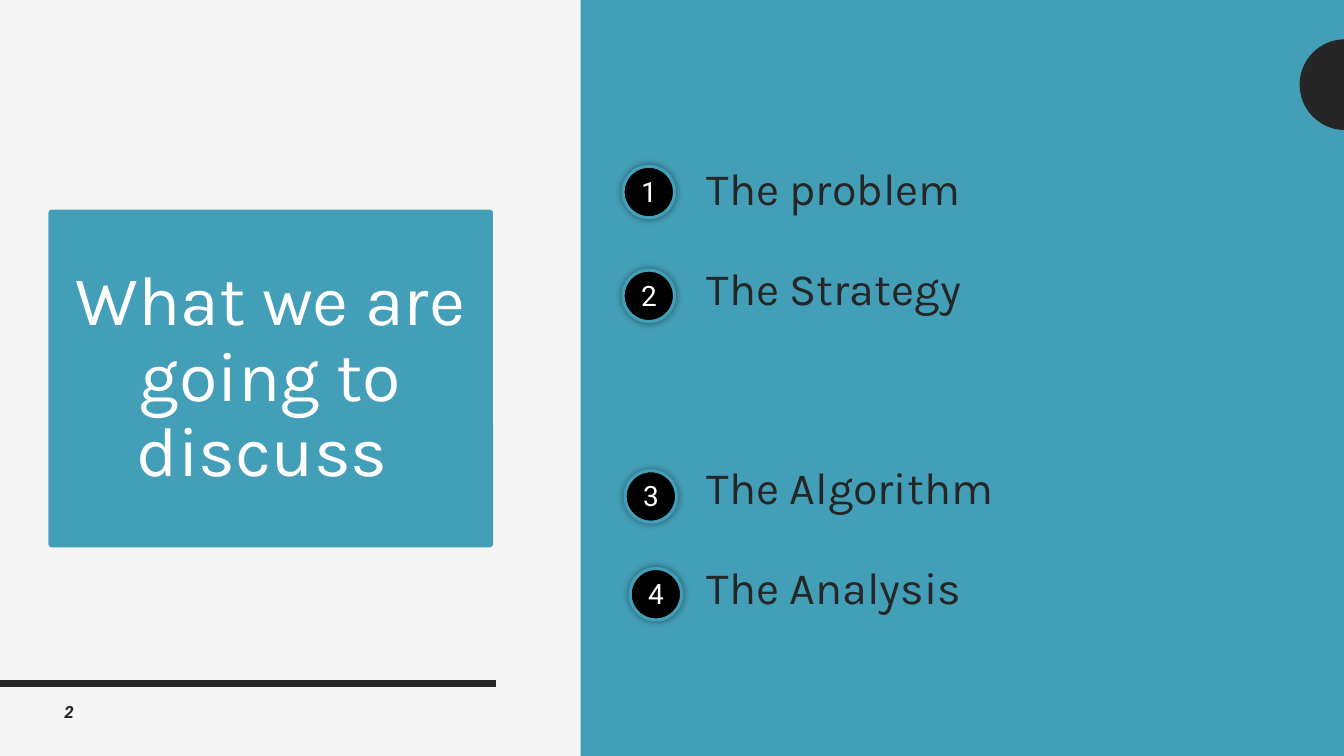
from dataclasses import dataclass
from math import cos, pi, sin

from lxml import etree
from pptx import Presentation
from pptx import util as u
from pptx.dml.color import RGBColor
from pptx.enum import shapes, text
from pptx.oxml import parse_xml
from pptx.oxml.ns import nsdecls, qn

ALIGN = text.PP_ALIGN
ANCHOR = text.MSO_ANCHOR
KIND = shapes.MSO_SHAPE


@dataclass
class Theme:
    paper: str = "F5F5F5"
    teal: str = "439EB7"
    ink: str = "262626"
    black: str = "000000"
    white: str = "FFFFFF"
    head: str = "Karla"
    body: str = "Roboto"
    title: int = 50
    item: int = 32
    badge: int = 20
    page: int = 12


class Board:
    def __init__(self, slide, theme):
        self.slide = slide
        self.theme = theme
        self.set_fill(slide.background, theme.paper)

    def set_fill(self, part, color):
        part.fill.solid()
        part.fill.fore_color.rgb = RGBColor.from_string(color)

    def shape(self, kind, box, color):
        item = self.slide.shapes.add_shape(kind, *map(u.Inches, box))
        item.shadow.inherit = False
        self.set_fill(item, color)
        item.line.fill.background()
        return item

    def set_text(self, item, lines, size, font, color, align=ALIGN.LEFT,
                 anchor=ANCHOR.TOP, wrap=True):
        frame = item.text_frame
        frame.word_wrap = wrap
        frame.vertical_anchor = anchor
        frame.text = "\n".join(lines)
        for para in frame.paragraphs:
            para.alignment = align
            for run in para.runs:
                run.font.size = u.Pt(size)
                run.font.name = font
                run.font.color.rgb = RGBColor.from_string(color)
        return frame

    def label(self, box, lines, *style, **more):
        item = self.slide.shapes.add_textbox(*map(u.Inches, box))
        return self.set_text(item, lines, *style, **more)

    def rule(self, left, right, y, color, width):
        line = self.slide.shapes.add_connector(
            shapes.MSO_CONNECTOR.STRAIGHT,
            *map(u.Inches, (left, y, right, y)))
        line.line.width = u.Pt(width)
        line.line.color.rgb = RGBColor.from_string(color)
        etree.SubElement(line._element.spPr, qn("a:effectLst"))

    def half_disc(self, x, y, radius, color, steps=48):
        """Draw the left half of a disc centred on x, y."""
        turns = [pi / 2 + pi * n / steps for n in range(steps + 1)]
        dots = [(u.Inches(x + radius * cos(a)), u.Inches(y + radius * sin(a)))
                for a in turns]
        pen = self.slide.shapes.build_freeform(*dots[0])
        pen.add_line_segments(dots[1:], close=True)
        item = pen.convert_to_shape()
        item.shadow.inherit = False
        self.set_fill(item, color)
        item.line.fill.background()

    def badge(self, num, x, y):
        t = self.theme
        disc = self.shape(KIND.OVAL, (x, y, 0.51, 0.51), t.black)
        disc.line.color.rgb = RGBColor.from_string(t.teal)
        disc.line.width = u.Pt(2.25)
        glow = parse_xml(
            f'<a:outerShdw {nsdecls("a")} blurRad="{u.Pt(5)}" dist="0" '
            f'dir="0"><a:srgbClr val="{t.black}"><a:alpha val="40000"/>'
            '</a:srgbClr></a:outerShdw>')
        disc._element.spPr.find(qn("a:effectLst")).append(glow)
        self.label((x + 0.08, y + 0.03, 0.36, 0.44), [str(num)],
                   t.badge, t.body, t.white, wrap=False)

    def agenda(self, box, items, gap_at):
        """List the items, with one empty row's height before gap_at."""
        t = self.theme
        frame = self.label(box, items, t.item, t.head, t.ink,
                           anchor=ANCHOR.MIDDLE)
        for n, para in enumerate(frame.paragraphs):
            para.space_before = u.Pt(80 if n == gap_at else 9)
            para.space_after = u.Pt(24)

    def title(self, box, words):
        t = self.theme
        card = self.shape(KIND.ROUNDED_RECTANGLE, box, t.teal)
        card.adjustments[0] = 0.01
        frame = self.set_text(card, [words], t.title, t.head, t.white,
                              ALIGN.CENTER, ANCHOR.MIDDLE)
        frame.paragraphs[0].line_spacing = 0.9

    def page(self, box, num):
        t = self.theme
        frame = self.label(box, [num], t.page, t.body, t.ink, ALIGN.RIGHT)
        font = frame.paragraphs[0].runs[0].font
        font.bold = font.italic = True


def main():
    deck = Presentation()
    deck.slide_width = u.Inches(13.33)
    deck.slide_height = u.Inches(7.5)
    theme = Theme()
    board = Board(deck.slides.add_slide(deck.slide_layouts[6]), theme)

    board.rule(0, 4.92, 6.78, theme.ink, 4.5)
    board.shape(KIND.RECTANGLE, (5.76, 0, 7.57, 7.5), theme.teal)
    board.half_disc(13.34, 0.84, 0.45, theme.ink)
    spots = [(6.18, 1.65), (6.18, 2.68), (6.2, 4.67), (6.25, 5.64)]
    for num, spot in enumerate(spots, 1):
        board.badge(num, *spot)
    board.agenda((6.91, 0.84, 6.02, 6),
                 ["The problem", "The Strategy",
                  "The Algorithm", "The Analysis"], gap_at=2)
    board.title((0.48, 2.08, 4.41, 3.35), "What we are going to discuss ")
    board.page((0, 6.91, 0.83, 0.46), "2")
    deck.save("out.pptx")


if __name__ == "__main__":
    main()
